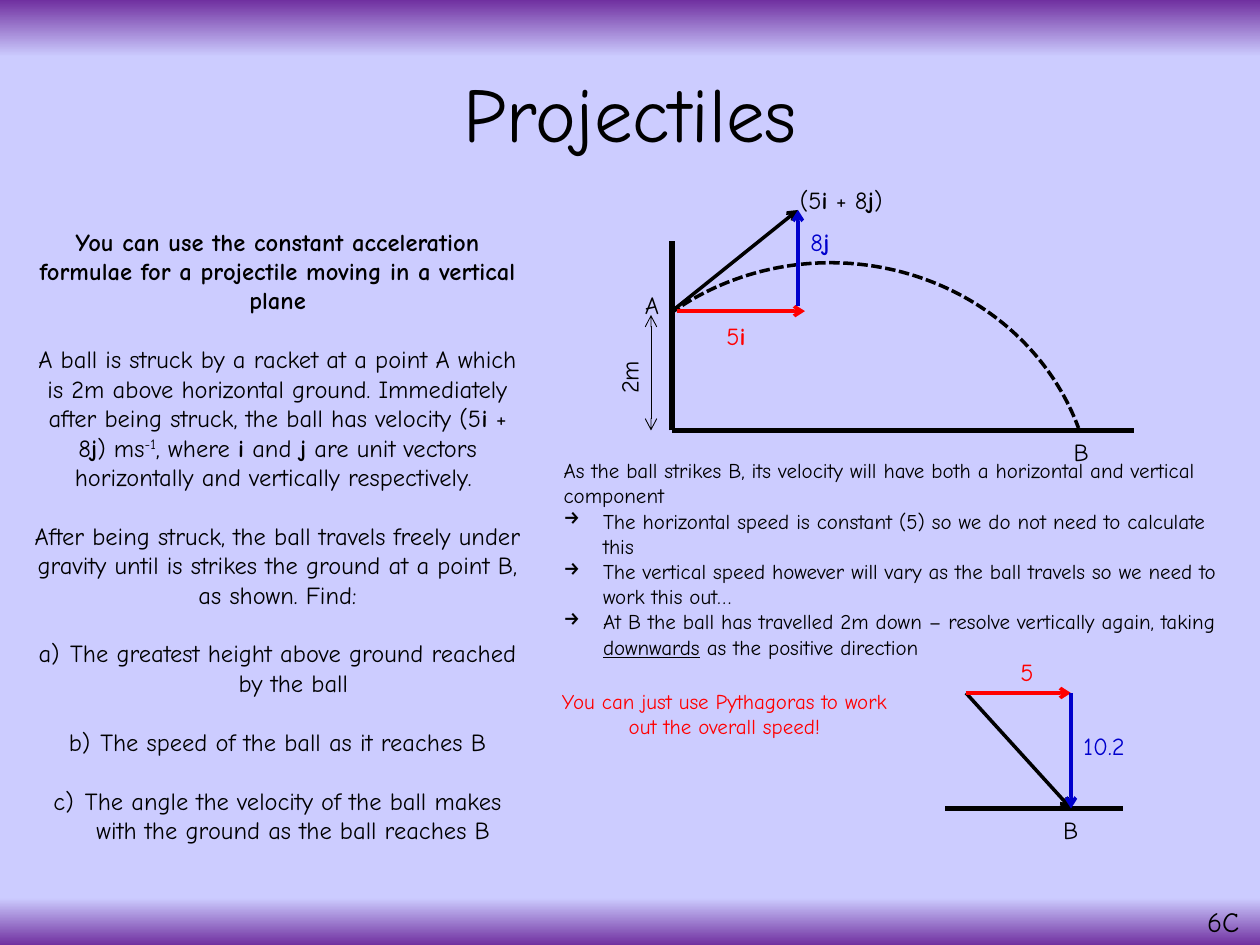
from dataclasses import dataclass, field
from typing import Optional

from lxml import etree
from pptx import Presentation
from pptx.dml.color import RGBColor
from pptx.enum import dml, shapes, text
from pptx.oxml import ns
from pptx.util import Pt


@dataclass(frozen=True)
class Theme:
    font: str = "Comic Neue"
    black: str = "000000"
    red: str = "FF0000"
    blue: str = "0000CC"
    purple: str = "7030A0"
    lavender: str = "CCCCFF"
    title: float = 44
    corner: float = 16
    body: float = 14
    small: float = 12
    thick: float = 3
    medium: float = 2
    thin: float = 0.5


THEME = Theme()
LEFT, CENTER = text.PP_ALIGN.LEFT, text.PP_ALIGN.CENTER
BOLD = {"bold": True}


@dataclass(frozen=True)
class Span:
    words: str
    style: dict = field(default_factory=dict)
    superscript: bool = False


@dataclass(frozen=True)
class Para:
    spans: list[Span]
    style: dict = field(default_factory=dict)
    bullet: Optional[tuple[str, dict]] = None
    indent: float = 0


@dataclass(frozen=True)
class Box:
    left: float
    top: float
    width: float
    height: float
    paras: list[Para]
    size: float = THEME.body
    color: str = THEME.black
    align: text.PP_ALIGN = LEFT
    wrap: bool = True
    grow: bool = True
    rotation: float = 0
    anchor: text.MSO_ANCHOR = text.MSO_ANCHOR.TOP


@dataclass(frozen=True)
class Line:
    start: tuple[float, float]
    end: tuple[float, float]
    color: str = THEME.black
    width: float = THEME.medium
    heads: tuple[str, ...] = ("tailEnd",)


def vectors(source: str) -> list[Span]:
    """Split on * and embolden every second piece."""
    return [Span(part, BOLD if index % 2 else {})
            for index, part in enumerate(source.split("*")) if part]


def label(left: float, top: float, width: float, words: str, **options) -> Box:
    return Box(left, top, width, 24.5, [Para(vectors(words))], wrap=False, **options)


def draw_box(page, item: Box) -> None:
    box = page.shapes.add_textbox(*map(Pt, (item.left, item.top, item.width, item.height)))
    box.rotation = item.rotation
    fit = text.MSO_AUTO_SIZE.SHAPE_TO_FIT_TEXT if item.grow else text.MSO_AUTO_SIZE.NONE
    frame = box.text_frame
    for name, value in {"word_wrap": item.wrap, "auto_size": fit,
                        "vertical_anchor": item.anchor}.items():
        setattr(frame, name, value)
    for index, para in enumerate(item.paras):
        target = frame.add_paragraph() if index else frame.paragraphs[0]
        if para.bullet:
            tag, attributes = para.bullet
            properties = target._p.get_or_add_pPr()
            properties.set("marL", str(Pt(para.indent)))
            properties.set("indent", str(-Pt(para.indent)))
            etree.SubElement(properties, ns.qn(f"a:{tag}"), attributes)
        for name, value in {"alignment": item.align, **para.style}.items():
            setattr(target, name, value)
        for span in para.spans:
            run = target.add_run()
            run.text = span.words
            formats = {"name": THEME.font, "size": Pt(item.size), **span.style}
            for name, value in formats.items():
                setattr(run.font, name, value)
            run.font.color.rgb = RGBColor.from_string(item.color)
            if span.superscript:
                run._r.get_or_add_rPr().set("baseline", "30000")


def draw_line(page, item: Line) -> None:
    line = page.shapes.add_connector(shapes.MSO_CONNECTOR.STRAIGHT,
                                     *map(Pt, item.start + item.end))
    line.line.color.rgb = RGBColor.from_string(item.color)
    line.line.width = Pt(item.width)
    for head in item.heads:
        etree.SubElement(line.line._get_or_add_ln(), ns.qn(f"a:{head}"), type="arrow")
    etree.SubElement(line._element.spPr, ns.qn("a:effectLst"))


def draw_flight(page) -> None:
    arc = page.shapes.add_shape(shapes.MSO_SHAPE.ARC, *map(Pt, (334.1, 140.4, 280.8, 300.2)))
    arc.rotation = 270
    # Start and end angles; one adjustment unit is 1/0.6 degrees
    for index, degrees in enumerate((320.7, 72.08)):
        arc.adjustments[index] = degrees * 0.6
    arc.shadow.inherit = False
    arc.fill.background()
    arc.line.color.rgb = RGBColor.from_string(THEME.black)
    arc.line.width = Pt(THEME.medium)
    arc.line.dash_style = dml.MSO_LINE.SQUARE_DOT


def paint_background(page) -> None:
    fill = page.background.fill
    fill.gradient()
    fill.gradient_angle = 270
    stops = page.background._cSld.find(f".//{ns.qn('a:gsLst')}")
    for stop in list(stops):
        stops.remove(stop)
    for percent, color in ((0, THEME.purple), (6, THEME.lavender),
                           (95, THEME.lavender), (100, THEME.purple)):
        stop = etree.SubElement(stops, ns.qn("a:gs"), pos=str(percent * 1000))
        etree.SubElement(stop, ns.qn("a:srgbClr"), val=color)


# Question text: one empty line's height between paragraphs
GAP = {"space_before": Pt(16.8)}
LETTER = ("buAutoNum", {"type": "alphaLcParenR"})
ARROW = ("buChar", {"char": "→"})
QUESTION = [
    Para([Span("You can use the constant acceleration formulae for a projectile "
               "moving in a vertical plane", BOLD)]),
    Para(vectors("A ball is struck by a racket at a point A which is 2m above horizontal "
                 "ground. Immediately after being struck, the ball has velocity "
                 "(5*i* + 8*j*) ms")
         + [Span("-1", superscript=True)]
         + vectors(", where *i* and *j* are unit vectors horizontally and vertically "
                   "respectively. "), GAP),
    Para([Span("After being struck, the ball travels freely under gravity until is strikes "
               "the ground at a point B, as shown. Find:")], GAP),
    *(Para([Span(part)], GAP, LETTER, 18) for part in (
        "The greatest height above ground reached by the ball",
        "The speed of the ball as it reaches B",
        "The angle the velocity of the ball makes with the ground as the ball reaches B")),
]

# Working for the landing at B
WORKING = [
    Para([Span("As the ball strikes B, its velocity will have both a horizontal and "
               "vertical component")]),
    *(Para(spans, bullet=ARROW, indent=22.5) for spans in (
        [Span("The horizontal speed is constant (5) so we do not need to calculate this")],
        [Span("The vertical speed however will vary as the ball travels so we need to "
              "work this out…")],
        [Span("At B the ball has travelled 2m down – resolve vertically again, taking "),
         Span("downwards", {"underline": True}), Span(" as the positive direction")])),
]
TIGHT = {"line_spacing": 0.9}

BOXES = [
    Box(12.2, 126, 293, 388.8, QUESTION, align=CENTER, grow=False),
    label(450, 102, 67, "(5*i* + 8*j*)"),
    label(408, 180, 27.4, "5*i*", color=THEME.red),
    label(456, 126, 28.8, "8*j*", color=THEME.blue),
    label(360, 162, 25.2, "A", align=CENTER),
    label(606, 246, 23.8, "B", align=CENTER),
    label(342.7, 203, 33.8, "2m", rotation=270),
    Box(315, 258, 402, 123.8, WORKING, THEME.small),
    label(600, 462, 23.8, "B", align=CENTER),
    label(576, 372, 23, "5", color=THEME.red),
    label(612, 414, 41.8, "10.2", color=THEME.blue),
    Box(312, 390, 204, 36,
        [Para([Span("You can just use Pythagoras to work out the overall speed!")])],
        THEME.small, THEME.red, CENTER),
    Box(49.7, 15.1, 620.6, 104.4, [Para([Span("Projectiles")], TIGHT)], THEME.title,
        align=CENTER, grow=False, anchor=text.MSO_ANCHOR.MIDDLE),
    Box(678, 515.5, 42, 24.5, [Para([Span("6C")], TIGHT)], THEME.corner,
        align=CENTER, grow=False),
]

LINES = [
    # Ground, wall, launch velocity and height
    Line((384, 246), (648, 246), width=THEME.thick, heads=()),
    Line((384, 246), (384, 138), width=THEME.thick, heads=()),
    Line((383, 178.6), (456, 120)),
    Line((386.6, 177.8), (460, 177.8), THEME.red),
    Line((456, 175), (456, 120), THEME.blue),
    Line((372, 180), (372, 246), width=THEME.thin, heads=("headEnd", "tailEnd")),
    # Velocity triangle at B
    Line((540, 462), (642, 462), width=THEME.thick, heads=()),
    Line((552, 396), (612, 462)),
    Line((552, 396), (612, 396), THEME.red),
    Line((612, 396), (612, 462), THEME.blue),
]


def main() -> None:
    deck = Presentation()
    deck.slide_width, deck.slide_height = Pt(720), Pt(540)
    page = deck.slides.add_slide(deck.slide_layouts[6])
    paint_background(page)
    draw_flight(page)
    for line in LINES:
        draw_line(page, line)
    for box in BOXES:
        draw_box(page, box)
    deck.save("out.pptx")


if __name__ == "__main__":
    main()
